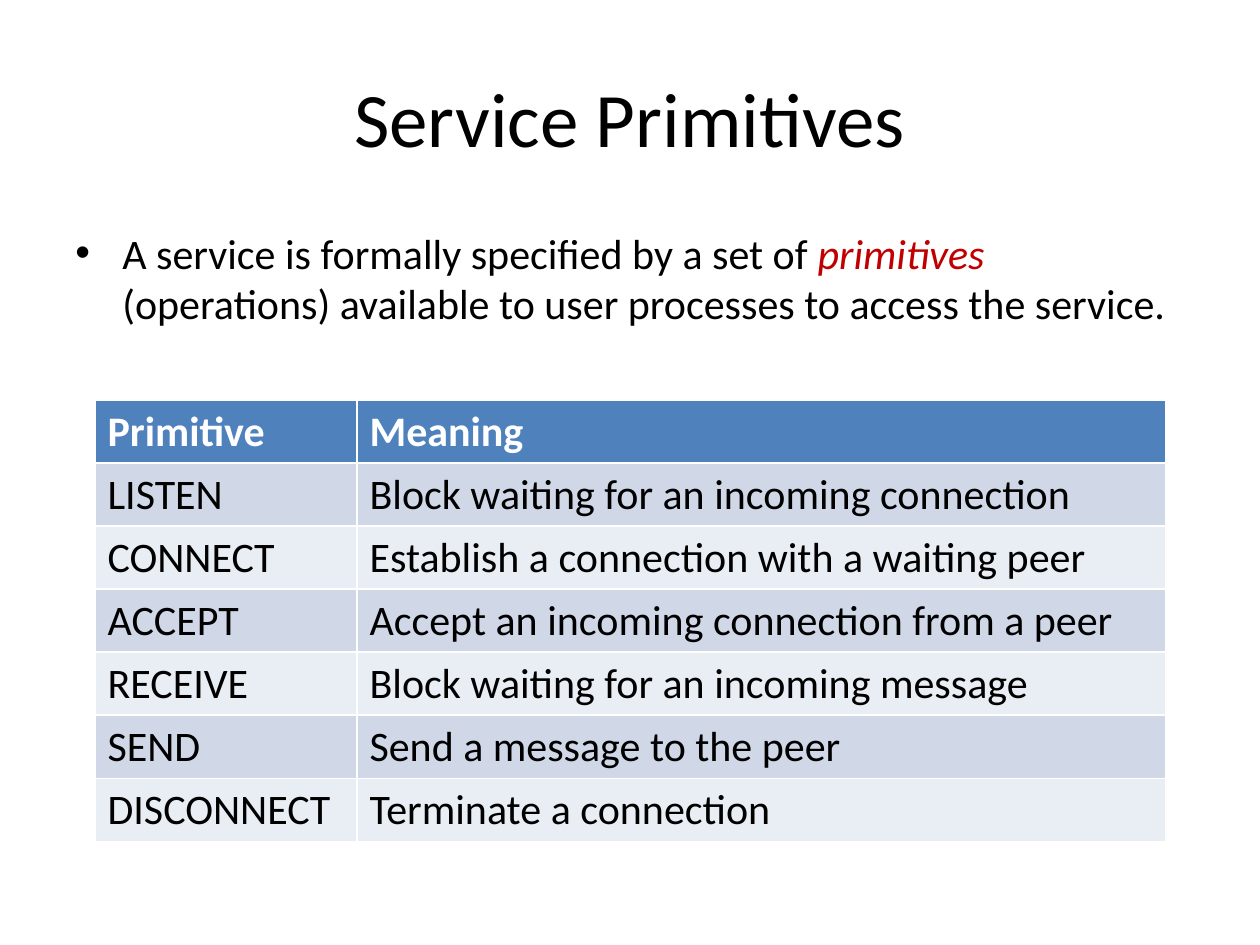
from dataclasses import dataclass

from lxml import etree
from pptx import Presentation
from pptx.dml.color import RGBColor as RGB
from pptx.enum.text import MSO_ANCHOR as Anchor, PP_ALIGN as Align
from pptx.oxml.ns import qn
from pptx.util import Pt

PX = 914400 // 126  # EMU per px


@dataclass(frozen=True)
class Theme:
    font: str = "Calibri"
    title_size: int = 44
    text_size: int = 24
    black: str = "000000"
    white: str = "FFFFFF"
    accent: str = "C00000"
    header: str = "4F81BD"
    bands: tuple = ("D0D8E8", "E9EDF4")


theme = Theme()


def add_text(paragraph, text, size=theme.text_size, color=theme.black, bold=False, italic=False):
    run = paragraph.add_run()
    run.text = text
    font = run.font
    font.name, font.size = theme.font, Pt(size)
    font.bold, font.italic = bold, italic
    font.color.rgb = RGB.from_string(color)


deck = Presentation()
deck.slide_width, deck.slide_height = 1260 * PX, 945 * PX
slide = deck.slides.add_slide(deck.slide_layouts[5])

# Title
title = slide.shapes.title
title.left, title.top, title.width, title.height = 63 * PX, 38 * PX, 1134 * PX, 158 * PX
title.text_frame.vertical_anchor = Anchor.MIDDLE
heading = title.text_frame.paragraphs[0]
heading.alignment = Align.CENTER
add_text(heading, "Service Primitives", size=theme.title_size)

# Bulleted definition
body = slide.shapes.add_textbox(63 * PX, 221 * PX, 1134 * PX, 624 * PX).text_frame
body.word_wrap = True
definition = body.paragraphs[0]
bullet = definition._p.get_or_add_pPr()
bullet.set("marL", str(47 * PX))
bullet.set("indent", str(-47 * PX))
etree.SubElement(bullet, qn("a:buFont")).set("typeface", "Arial")
etree.SubElement(bullet, qn("a:buChar")).set("char", "•")
add_text(definition, "A service is formally specified by a set of ")
add_text(definition, "primitives", color=theme.accent, italic=True)
add_text(definition, " (operations) available to user processes to access the service.")

# Table of primitives; the default table style draws the white cell borders
primitives = [
    ("Primitive", "Meaning"),
    ("LISTEN", "Block waiting for an incoming connection"),
    ("CONNECT", "Establish a connection with a waiting peer"),
    ("ACCEPT", "Accept an incoming connection from a peer"),
    ("RECEIVE", "Block waiting for an incoming message"),
    ("SEND", "Send a message to the peer"),
    ("DISCONNECT", "Terminate a connection"),
]
table = slide.shapes.add_table(
    len(primitives), 2, 95 * PX, 400 * PX, 1071 * PX, len(primitives) * 63 * PX
).table
table.horz_banding = False
for column, width in zip(table.columns, (262, 809)):
    column.width = width * PX

for row, entry in enumerate(primitives):
    is_header = row == 0
    for col, text in enumerate(entry):
        cell = table.cell(row, col)
        cell.fill.solid()
        fill = theme.header if is_header else theme.bands[(row - 1) % 2]
        cell.fill.fore_color.rgb = RGB.from_string(fill)
        add_text(
            cell.text_frame.paragraphs[0],
            text,
            color=theme.white if is_header else theme.black,
            bold=is_header,
        )

deck.save("out.pptx")
